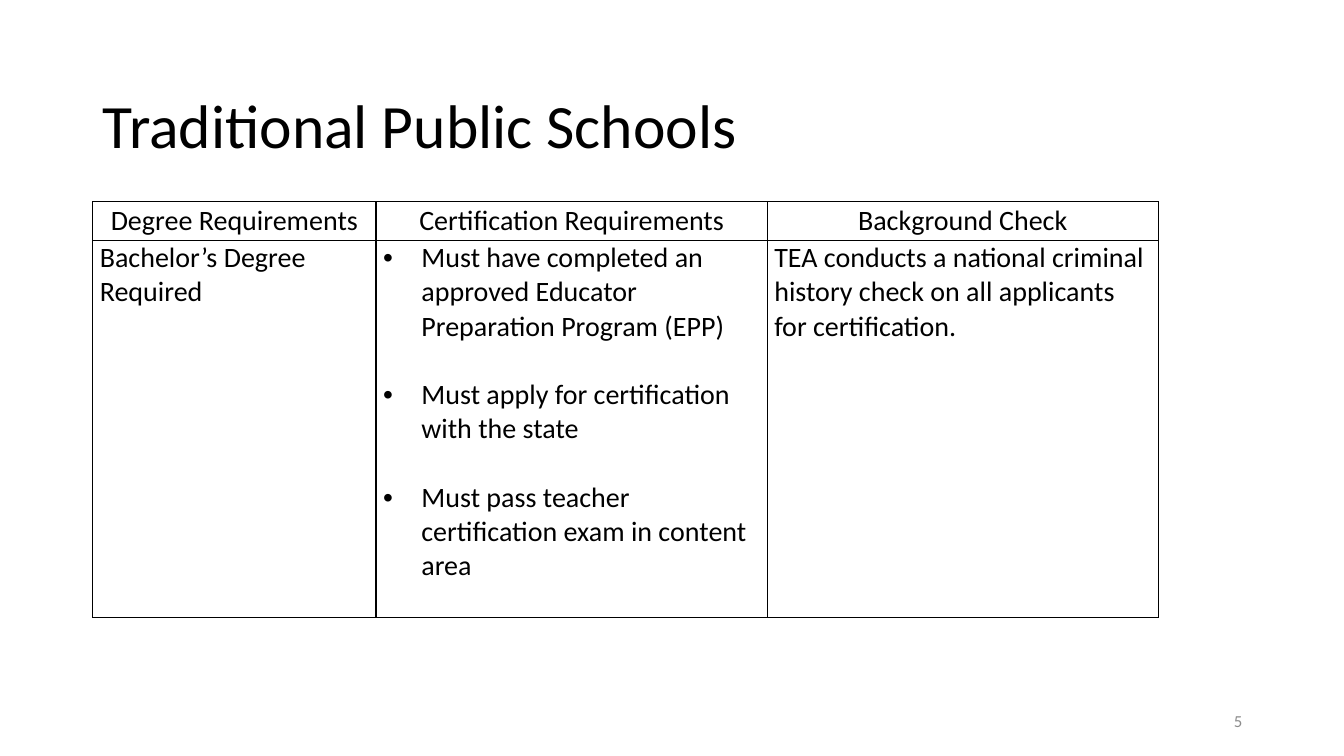
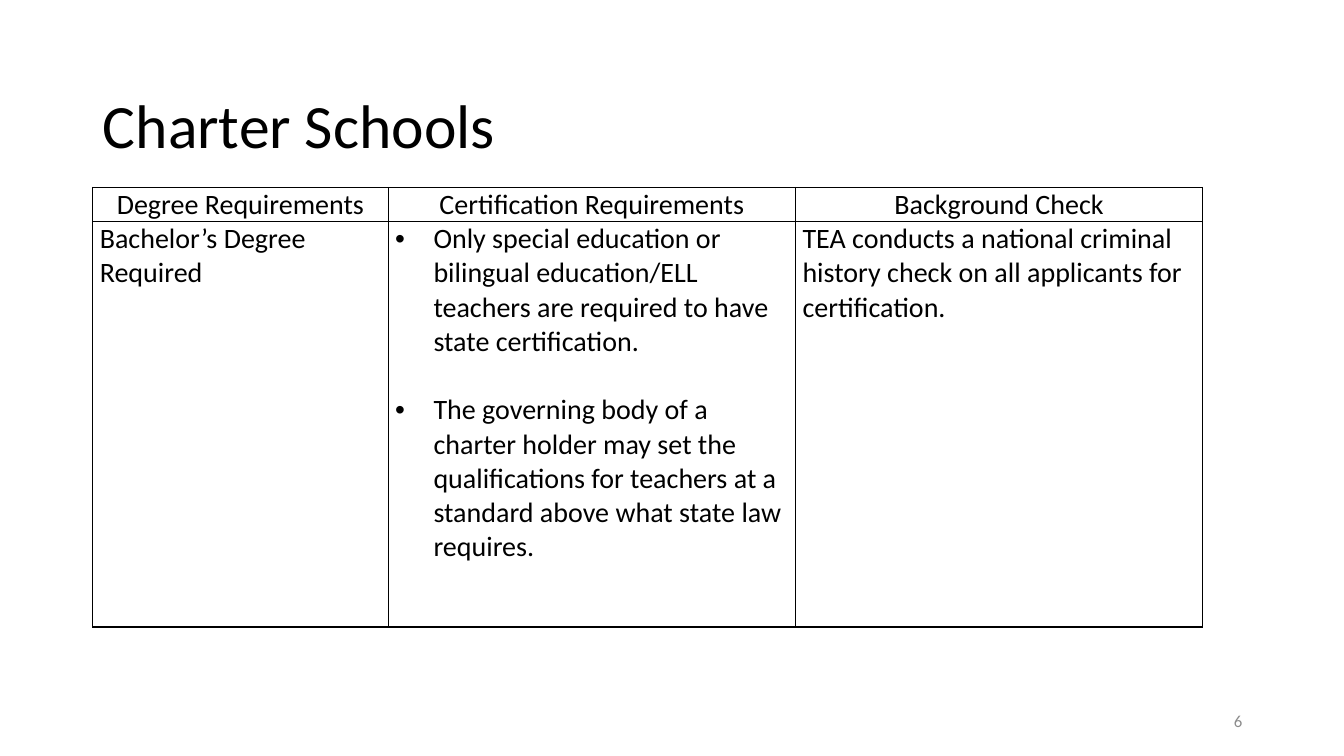
from lxml import etree
from pptx import Presentation
from pptx.dml.color import RGBColor
from pptx.enum.text import MSO_ANCHOR, PP_ALIGN
from pptx.oxml.ns import qn
from pptx.util import Inches, Pt

LEFT, CENTER, RIGHT = PP_ALIGN.LEFT, PP_ALIGN.CENTER, PP_ALIGN.RIGHT
TOP, MIDDLE = MSO_ANCHOR.TOP, MSO_ANCHOR.MIDDLE
COLORS = {"text": "000000", "line": "000000", "page": "8C8C8C"}
FONT = "Calibri"
EDGE = 0.92
HEADS = ["Degree Requirements", "Certification Requirements", "Background Check"]
DEGREE = "Bachelor’s Degree Required"
CHECK = "TEA conducts a national criminal history check on all applicants for certification."

SLIDES = [
    {
        "title": "Traditional Public Schools",
        "page": "5",
        "top": 2,
        "cols": [2.81, 3.88, 3.88],
        "rows": [0.39, 3.74],
        "rules": [
            "Must have completed an approved Educator Preparation Program (EPP)",
            "Must apply for certification with the state",
            "Must pass teacher certification exam in content area",
        ],
    },
    {
        "title": "Charter Schools",
        "page": "6",
        "top": 1.86,
        "cols": [2.93, 4.04, 4.04],
        "rows": [0.34, 4.02],
        "rules": [
            "Only special education or bilingual education/ELL teachers are required to have state certification.",
            "The governing body of a charter holder may set the qualifications for teachers at a standard above what state law requires.",
        ],
    },
]


def write(frame, lines, size, color, align=LEFT, bullet=False):
    frame.text = "\n".join(lines)
    for num, para in enumerate(frame.paragraphs):
        para.alignment = align
        if bullet:
            props = para._p.get_or_add_pPr()
            props.set("marL", str(Inches(0.38)))
            props.set("indent", str(-Inches(0.38)))
            etree.SubElement(props, qn("a:buFont"), typeface="Arial")
            etree.SubElement(props, qn("a:buChar"), char="•")
            if num:
                para.space_before = Pt(24.4)
        for run in para.runs:
            run.font.name = FONT
            run.font.size = Pt(size)
            run.font.bold = False
            run.font.color.rgb = RGBColor.from_string(COLORS[color])


def border(cell):
    props = cell._tc.get_or_add_tcPr()
    for side in ("lnL", "lnR", "lnT", "lnB"):
        line = etree.SubElement(props, qn("a:" + side), w=str(Pt(1)))
        fill = etree.SubElement(line, qn("a:solidFill"))
        etree.SubElement(fill, qn("a:srgbClr"), val=COLORS["line"])


prs = Presentation()
prs.slide_width, prs.slide_height = Inches(13.33), Inches(7.5)

for data in SLIDES:
    slide = prs.slides.add_slide(prs.slide_layouts[5])

    title = slide.shapes.title
    title.left, title.top = Inches(EDGE), Inches(0.55)
    title.width, title.height = Inches(11.5), Inches(1.45)
    title.text_frame.vertical_anchor = MIDDLE
    write(title.text_frame, [data["title"]], 44, "text")
    title.text_frame.paragraphs[0].line_spacing = 0.9

    cols, rows = data["cols"], data["rows"]
    table = slide.shapes.add_table(
        len(rows), len(cols), Inches(EDGE), Inches(data["top"]),
        Inches(sum(cols)), Inches(sum(rows))).table
    table.first_row = table.horz_banding = False
    for col, width in zip(table.columns, cols):
        col.width = Inches(width)
    for row, height in zip(table.rows, rows):
        row.height = Inches(height)

    body = [[DEGREE], data["rules"], [CHECK]]
    for r, texts in enumerate([[[head] for head in HEADS], body]):
        for c, lines in enumerate(texts):
            cell = table.cell(r, c)
            border(cell)
            cell.fill.background()
            cell.margin_left = cell.margin_right = Inches(0.07)
            cell.margin_top = cell.margin_bottom = 0
            cell.vertical_anchor = TOP if r else MIDDLE
            write(cell.text_frame, lines, 20, "text",
                  LEFT if r else CENTER, lines is data["rules"])

    page = slide.shapes.add_textbox(Inches(9.42), Inches(6.95), Inches(3), Inches(0.4))
    page.text_frame.word_wrap = True
    page.text_frame.vertical_anchor = MIDDLE
    write(page.text_frame, [data["page"]], 12, "page", RIGHT)

prs.save("out.pptx")
